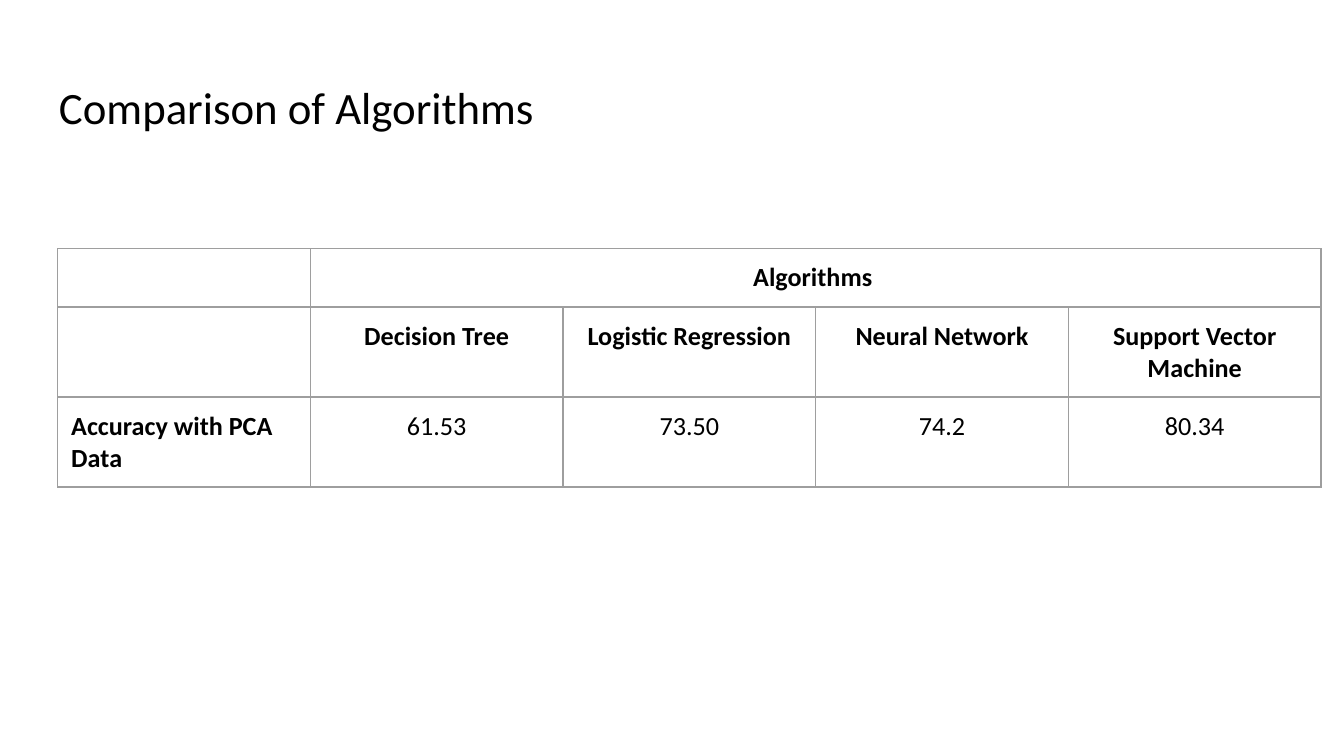
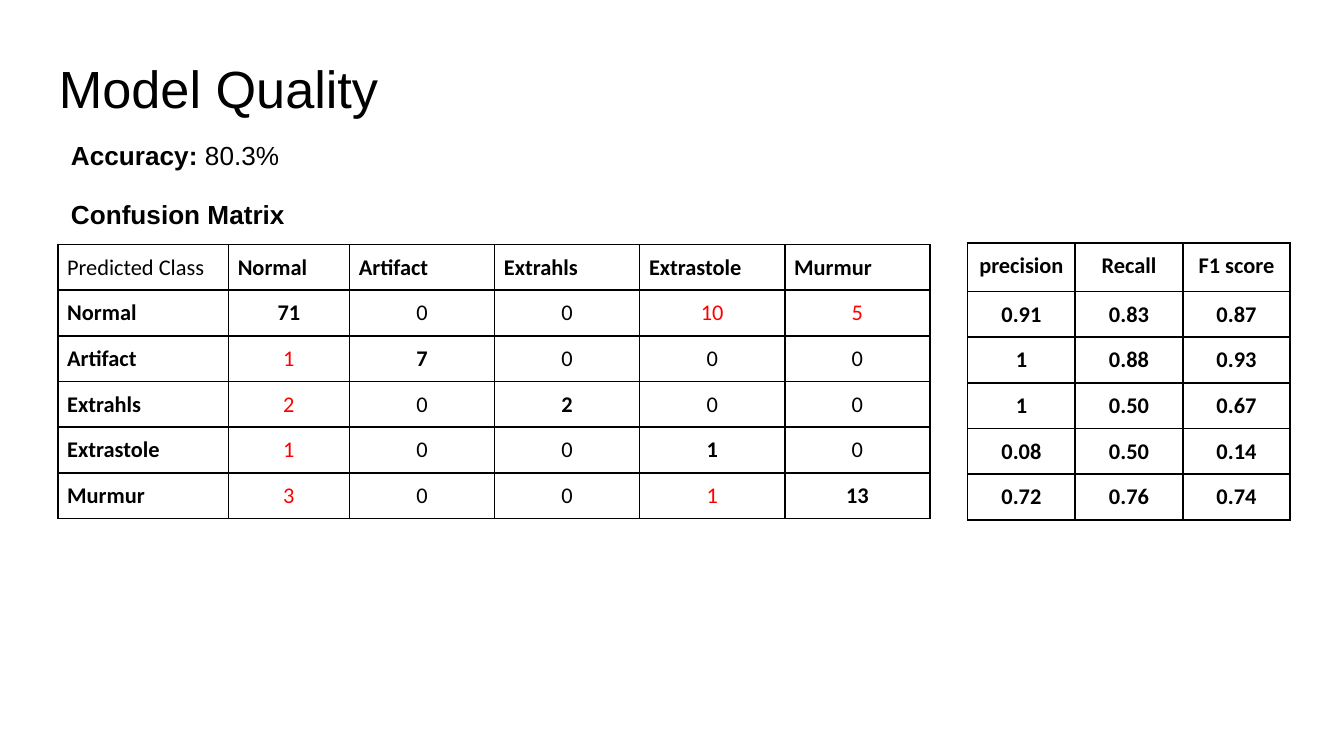
from dataclasses import dataclass

import pptx
import pptx.dml.color
import pptx.enum.text
import pptx.oxml.ns
import pptx.util
from lxml import etree
from pptx.util import Inches

ALIGN = pptx.enum.text.PP_ALIGN


@dataclass(frozen=True)
class Theme:
    background: str = "FFFFFF"
    ink: str = "000000"
    error: str = "FF0000"
    grey_border: str = "9E9E9E"
    heading_font: str = "Arial"
    body_font: str = "Calibri"
    large_title: int = 28
    title: int = 24
    body: int = 14
    compact: int = 12
    text_inset: float = 0.1
    compact_inset: float = 0.07


@dataclass(frozen=True)
class Cell:
    text: str = ""
    bold: bool = False
    color: str = Theme.ink
    align: int = ALIGN.CENTER
    span: int = 1


class Deck:
    """Holds the theme and the slide being drawn."""

    def __init__(self, theme):
        self.theme = theme
        self.presentation = pptx.Presentation()
        # Widescreen, 16:9
        self.presentation.slide_width = Inches(10)
        self.presentation.slide_height = Inches(10) * 9 // 16
        self.slide = None

    def new_slide(self):
        layout = self.presentation.slide_layouts[6]
        self.slide = self.presentation.slides.add_slide(layout)
        fill = self.slide.background.fill
        fill.solid()
        fill.fore_color.rgb = pptx.dml.color.RGBColor.from_string(self.theme.background)

    def run(self, paragraph, text, font, size, bold=False, color=Theme.ink):
        run = paragraph.add_run()
        run.text = text
        run.font.name = font
        run.font.size = pptx.util.Pt(size)
        run.font.bold = bold
        run.font.color.rgb = pptx.dml.color.RGBColor.from_string(color)

    def set_margins(self, target, inset):
        target.margin_left = target.margin_right = Inches(inset)
        target.margin_top = target.margin_bottom = Inches(inset)

    def text(self, left, top, width, height, runs, font, size):
        """Add one line of text; runs are (text, bold) pairs."""
        box = self.slide.shapes.add_textbox(
            Inches(left), Inches(top), Inches(width), Inches(height))
        frame = box.text_frame
        frame.word_wrap = True
        self.set_margins(frame, self.theme.text_inset)
        for text, bold in runs:
            self.run(frame.paragraphs[0], text, font, size, bold)

    def title(self, text, top, font, size):
        self.text(0.34, top, 9.32, 0.63, [(text, False)], font, size)

    def label(self, top, *runs):
        self.text(0.43, top, 2.56, 0.44, runs, self.theme.heading_font, self.theme.body)

    def borders(self, cell, color, width):
        properties = cell._tc.get_or_add_tcPr()
        qn = pptx.oxml.ns.qn
        for side in ("a:lnL", "a:lnR", "a:lnT", "a:lnB"):
            line = etree.SubElement(properties, qn(side), w=str(pptx.util.Pt(width)))
            fill = etree.SubElement(line, qn("a:solidFill"))
            etree.SubElement(fill, qn("a:srgbClr"), val=color)

    def table(self, left, top, widths, heights, rows, size, inset, border, border_width):
        frame = self.slide.shapes.add_table(
            len(heights), len(widths), Inches(left), Inches(top),
            Inches(sum(widths)), Inches(sum(heights)))
        table = frame.table
        table.first_row = table.horz_banding = False
        for column, width in zip(table.columns, widths):
            column.width = Inches(width)
        for row, height in zip(table.rows, heights):
            row.height = Inches(height)

        # Style every grid cell, including those covered by a span
        for cell in table.iter_cells():
            self.set_margins(cell, inset)
            self.borders(cell, border, border_width)
            cell.fill.background()

        for row_index, row in enumerate(rows):
            column_index = 0
            for content in row:
                cell = table.cell(row_index, column_index)
                if content.span > 1:
                    cell.merge(table.cell(row_index, column_index + content.span - 1))
                paragraph = cell.text_frame.paragraphs[0]
                paragraph.alignment = content.align
                if content.text:
                    self.run(paragraph, content.text, self.theme.body_font, size,
                             content.bold, content.color)
                column_index += content.span

        # Keep empty cells from growing to the default type size
        for cell in table.iter_cells():
            paragraph = cell.text_frame.paragraphs[0]
            if not paragraph.runs:
                etree.SubElement(paragraph._p, pptx.oxml.ns.qn("a:endParaRPr"),
                                 sz=str(size * 100))


def comparison_slide(deck):
    theme = deck.theme
    scores = {"Decision Tree": "61.53", "Logistic Regression": "73.50",
              "Neural Network": "74.2", "Support Vector Machine": "80.34"}
    deck.new_slide()
    deck.title("Comparison of Algorithms", 0.49, theme.body_font, theme.title)
    rows = [
        [Cell(), Cell("Algorithms ", bold=True, span=len(scores))],
        [Cell()] + [Cell(name, bold=True) for name in scores],
        [Cell("Accuracy with PCA Data", bold=True, align=ALIGN.LEFT)]
        + [Cell(score) for score in scores.values()],
    ]
    deck.table(0.43, 1.85, [1.88] * 5, [0.43, 0.67, 0.67], rows,
               theme.body, theme.text_inset, theme.grey_border, 0.75)


def quality_slide(deck):
    theme = deck.theme
    classes = ["Normal", "Artifact", "Extrahls", "Extrastole", "Murmur"]
    counts = [
        [71, 0, 0, 10, 5],
        [1, 7, 0, 0, 0],
        [2, 0, 2, 0, 0],
        [1, 0, 0, 1, 0],
        [3, 0, 0, 1, 13],
    ]
    metrics = [
        ["precision", "Recall", "F1 score"],
        ["0.91", "0.83", "0.87"],
        ["1", "0.88", "0.93"],
        ["1", "0.50", "0.67"],
        ["0.08", "0.50", "0.14"],
        ["0.72", "0.76", "0.74"],
    ]
    deck.new_slide()
    deck.title("Model Quality", 0.32, theme.heading_font, theme.large_title)

    # Confusion matrix: hits are bold, misclassified counts are red
    names = [Cell(name, bold=True, align=ALIGN.LEFT) for name in classes]
    matrix = [[Cell("Predicted Class", align=ALIGN.LEFT)] + names]
    for actual, row in enumerate(counts):
        cells = [names[actual]]
        for predicted, count in enumerate(row):
            hit = actual == predicted
            color = theme.error if count and not hit else theme.ink
            cells.append(Cell(str(count), bold=hit, color=color))
        matrix.append(cells)
    compact = (theme.compact, theme.compact_inset, theme.ink, 1)
    deck.table(0.43, 1.82, [1.27, 0.9] + [1.08] * 4, [0.34] * 6, matrix, *compact)

    # Labels above the matrix
    deck.label(0.94, ("Accuracy:", True), (" 80.3%", False))
    deck.label(1.38, ("Confusion Matrix", True))

    # Metrics per class
    rows = [[Cell(value, bold=True) for value in row] for row in metrics]
    deck.table(7.2, 1.81, [0.8] * 3, [0.36] + [0.34] * 5, rows, *compact)


def main():
    deck = Deck(Theme())
    comparison_slide(deck)
    quality_slide(deck)
    deck.presentation.save("out.pptx")


if __name__ == "__main__":
    main()
